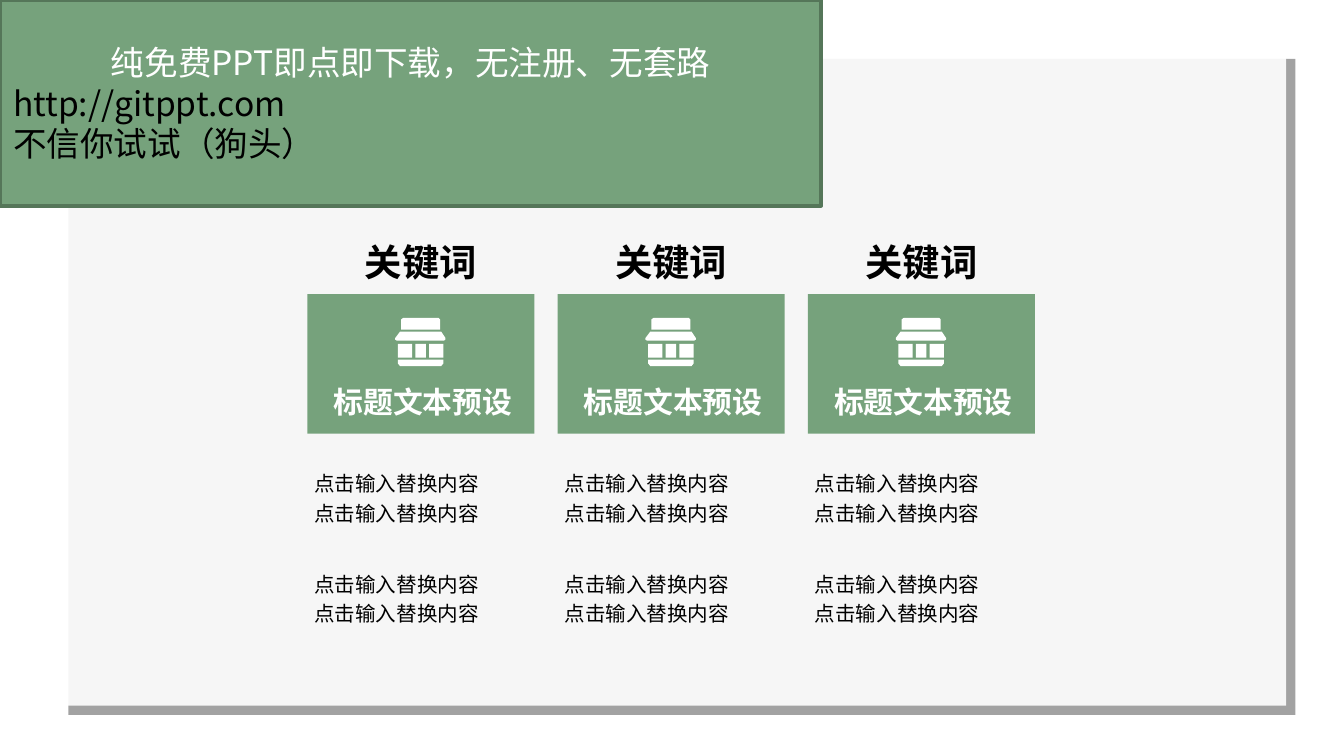
from lxml.etree import SubElement
from pptx import Presentation
from pptx.dml.color import RGBColor
from pptx.enum.shapes import MSO_SHAPE as Shape
from pptx.enum.text import MSO_ANCHOR as Anchor, PP_ALIGN as Align
from pptx.oxml import parse_xml
from pptx.oxml.ns import nsdecls, qn
from pptx.util import Cm, Pt

FONT = "Noto Sans CJK SC"
COLORS = {"white": "FFFFFF", "black": "000000", "green": "76A27C", "dark_green": "557659"}
BODY_LINES = ["点击输入替换内容"] * 2
BANNER_LINES = ["纯免费PPT即点即下载，无注册、无套路", "http://gitppt.com", "不信你试试（狗头）"]
SHOP_PARTS = [
    [(5, 79), (91, 79), (91, 86), (87, 91), (9, 91), (5, 86)],
    [(64, 49), (91, 49), (91, 75), (64, 75)],
    [(38, 49), (58, 49), (58, 75), (38, 75)],
    [(5, 49), (32, 49), (32, 75), (5, 75)],
    [(9, 26), (87, 26), (95, 38), (95, 41), (92, 43), (3, 43), (0, 41), (0, 38)],
    [(11, 3), (15, 0), (82, 0), (85, 3), (85, 22), (11, 22)],
]


def color(name):
    """Return the named colour."""
    return RGBColor.from_string(COLORS[name])


def paint(shape, fill):
    """Give a shape a plain fill without line or shadow."""
    shape.shadow.inherit = False
    shape.fill.solid()
    shape.fill.fore_color.rgb = color(fill)
    shape.line.fill.background()


def add_rectangle(shapes, left, top, width, height, fill):
    """Add a plain rectangle."""
    rectangle = shapes.add_shape(Shape.RECTANGLE, Cm(left), Cm(top), Cm(width), Cm(height))
    paint(rectangle, fill)
    return rectangle


def write_lines(frame, lines, size, ink="black", bold=False, align=Align.LEFT, spacing=1.0):
    """Fill a vertically centred frame with one paragraph per line."""
    frame.word_wrap = True
    frame.vertical_anchor = Anchor.MIDDLE
    frame.text = "\n".join(lines)
    for para in frame.paragraphs:
        para.alignment = align
        para.line_spacing = spacing
        para.font.name = FONT
        para.font.size = Pt(size)
        para.font.bold = bold
        para.font.color.rgb = color(ink)
        defaults = para._p.pPr.find(qn("a:defRPr"))
        SubElement(defaults, qn("a:ea")).set("typeface", FONT)


def add_text(shapes, left, top, width, height, lines, size, **style):
    """Add a text box with the given lines and style."""
    box = shapes.add_textbox(Cm(left), Cm(top), Cm(width), Cm(height))
    write_lines(box.text_frame, lines, size, **style)


def add_panel(page, left, top, width, height):
    """Add the translucent panel with its hard offset shadow."""
    panel = add_rectangle(page.shapes, left, top, width, height, "white")
    tint = panel._element.spPr.find(qn("a:solidFill"))[0]
    SubElement(tint, qn("a:alpha")).set("val", "91000")
    panel._element.spPr.find(qn("a:effectLst")).append(parse_xml(
        f'<a:outerShdw {nsdecls("a")} blurRad="0" dist="{Pt(7)}" dir="2700000" algn="tl" '
        'rotWithShape="0"><a:srgbClr val="000000"><a:alpha val="40000"/></a:srgbClr>'
        '</a:outerShdw>'))


def add_shop_icon(shapes, left, top):
    """Draw the shop icon as one outline with several contours."""
    first, *others = SHOP_PARTS
    builder = shapes.build_freeform(*first[0], scale=Cm(0.01))
    builder.add_line_segments(first[1:], close=True)
    for part in others:
        builder.move_to(*part[0])
        builder.add_line_segments(part[1:], close=True)
    paint(builder.convert_to_shape(Cm(left), Cm(top)), "white")


def add_column(page, left, top, width, body_width):
    """Add a keyword column: heading, icon card and two text blocks."""
    shapes = page.shapes.add_group_shape().shapes
    add_rectangle(shapes, left, top + 1.04, width, 2.64, "green")
    add_text(shapes, left, top, width, 0.84, ["关键词"], 20, bold=True, align=Align.CENTER)
    add_text(shapes, left + 0.1, top + 2.7, width - 0.12, 0.76, ["标题文本预设"], 16,
             ink="white", bold=True, align=Align.CENTER)
    for offset in (4.17, 6.07):
        add_text(shapes, left - 0.12, top + offset, body_width, 1.37, BODY_LINES, 11, spacing=1.2)
    add_shop_icon(shapes, left + 1.66, top + 1.49)


def add_banner(page, left, top, width, height):
    """Add the outlined green banner with a centred white first line."""
    banner = add_rectangle(page.shapes, left, top, width, height, "green")
    banner.line.color.rgb = color("dark_green")
    banner.line.width = Pt(2)
    write_lines(banner.text_frame, BANNER_LINES, 18)
    headline = banner.text_frame.paragraphs[0]
    headline.alignment = Align.CENTER
    headline.font.color.rgb = color("white")


def main():
    """Build and save the deck."""
    deck = Presentation()
    deck.slide_width, deck.slide_height = Cm(25.4), Cm(14.29)
    page = deck.slides.add_slide(deck.slide_layouts[6])
    add_panel(page, 1.12, 0.94, 23.19, 12.4)
    for index, body_width in enumerate((4.5, 5.46, 4.5)):
        add_column(page, 5.81 + index * 4.73, 4.52, 4.29, body_width)
    add_banner(page, 0, 0, 15.52, 3.89)
    deck.save("out.pptx")


if __name__ == "__main__":
    main()
